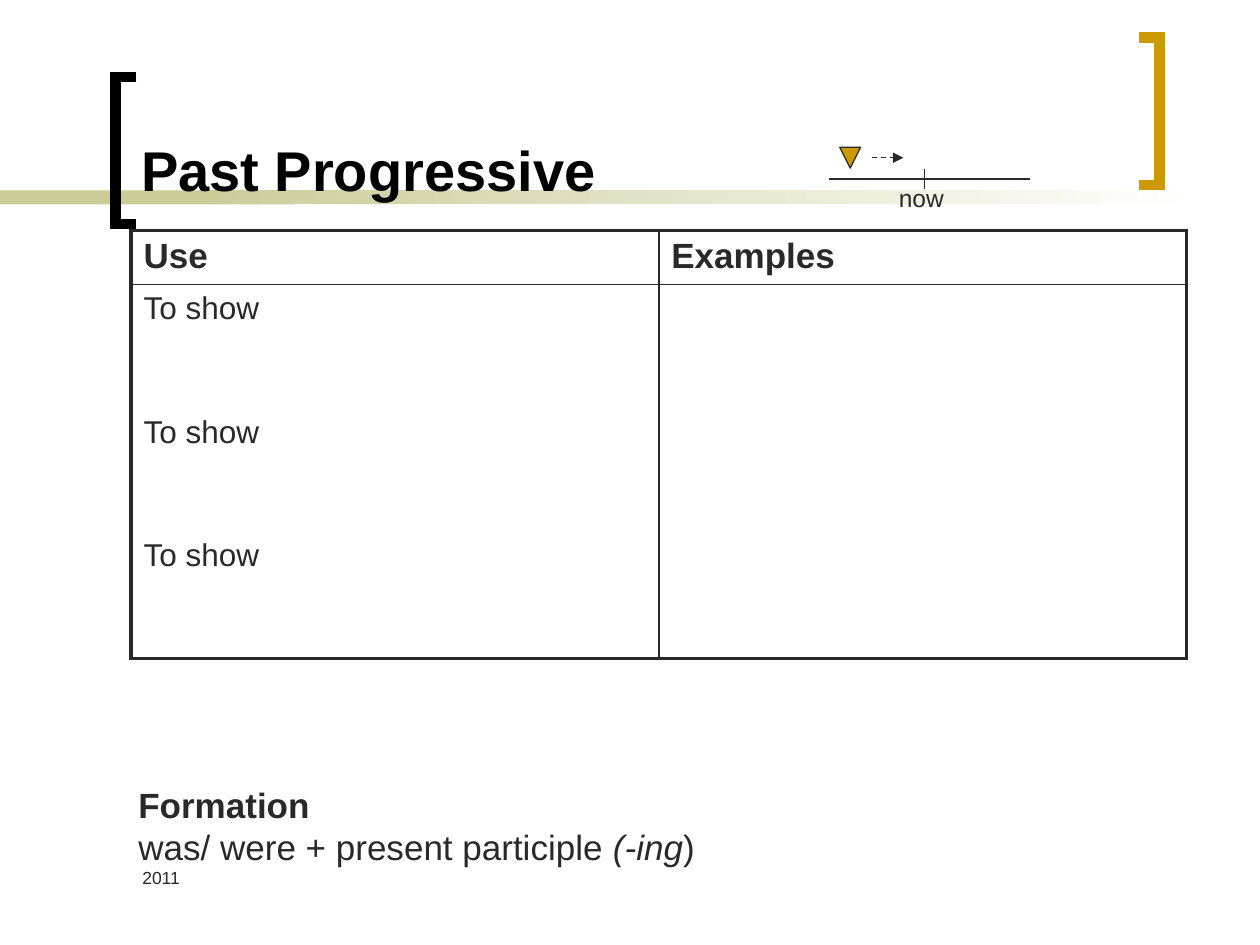
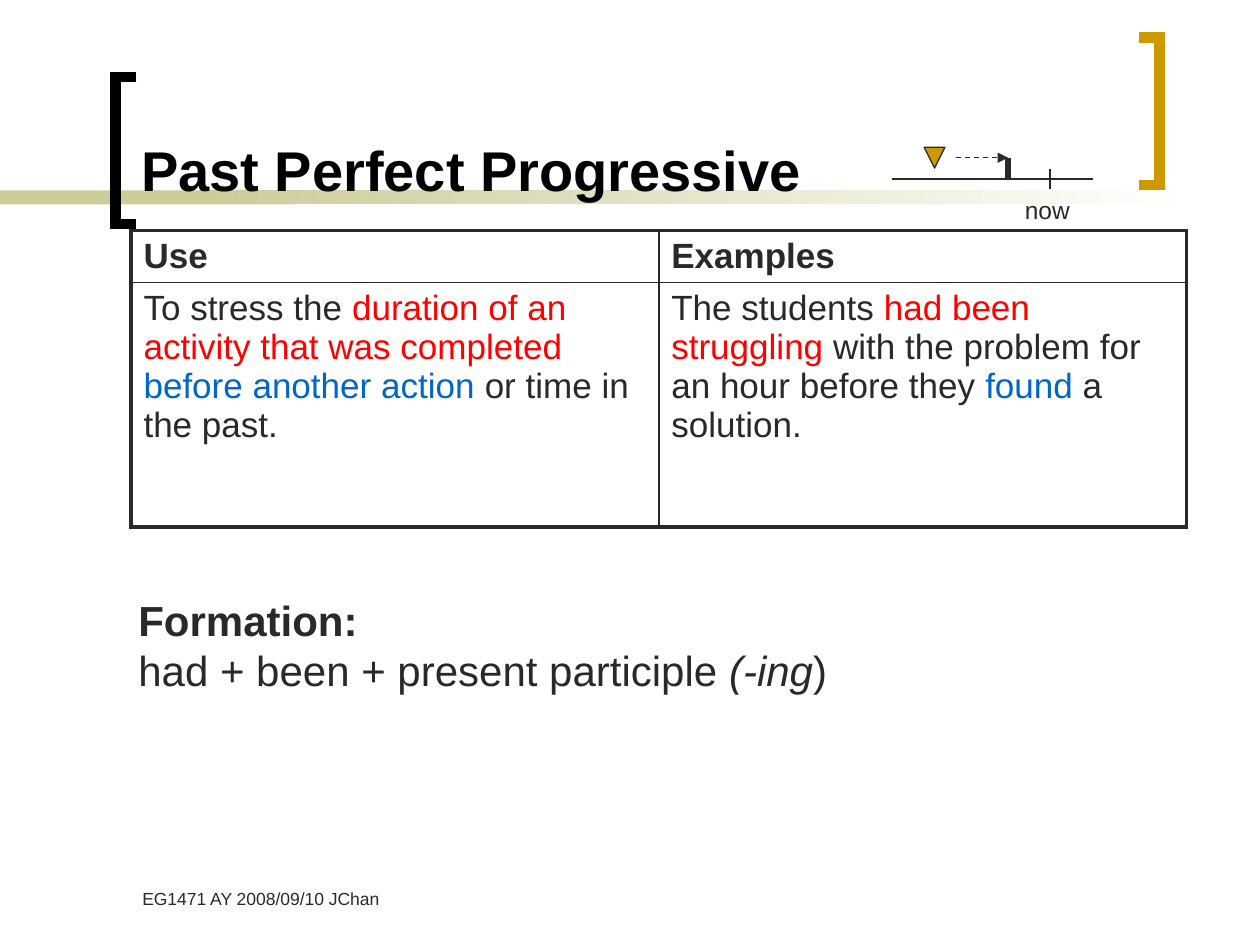
from lxml import etree
from pptx import Presentation
from pptx.dml.color import RGBColor
from pptx.enum.dml import MSO_LINE
from pptx.enum.shapes import MSO_CONNECTOR, MSO_SHAPE
from pptx.enum.text import MSO_ANCHOR, MSO_AUTO_SIZE, PP_ALIGN
from pptx.oxml.ns import qn
from pptx.util import Cm, Pt

RECT, TRIANGLE = MSO_SHAPE.RECTANGLE, MSO_SHAPE.FLOWCHART_MERGE
STRAIGHT, DASH = MSO_CONNECTOR.STRAIGHT, MSO_LINE.DASH
BOTTOM, LEFT = MSO_ANCHOR.BOTTOM, PP_ALIGN.LEFT
NO_FIT = MSO_AUTO_SIZE.NONE

FONT = "Arial"
COLORS = {
    "text": "292929", "title": "000000", "band": "CCCC99", "white": "FFFFFF",
    "gold": "CC9900", "red": "FF0000", "blue": "0066CC",
}
OUTER, INNER = 2.25, 1  # table border widths in points


def rgb(name):
    return RGBColor.from_string(COLORS[name])


def add_runs(p, runs, size):
    """Each run is (text, style); style holds colour names, 'bold' or 'italic'."""
    for text, style in runs:
        r = p.add_run()
        r.text = text
        words = style.split()
        r.font.name, r.font.size = FONT, Pt(size)
        r.font.bold, r.font.italic = "bold" in words, "italic" in words
        color = next((w for w in words if w in COLORS), "text")
        r.font.color.rgb = rgb(color)


def add_paragraphs(tf, paragraphs, size, gap=0):
    for i, runs in enumerate(paragraphs):
        p = tf.add_paragraph() if i else tf.paragraphs[0]
        p.alignment = LEFT
        p.space_before = Pt(gap if i else 0)
        add_runs(p, runs, size)


def add_text(s, box, paragraphs, size, wrap=True):
    tf = s.shapes.add_textbox(*map(Cm, box)).text_frame
    tf.word_wrap = wrap
    add_paragraphs(tf, paragraphs, size)


def add_line(s, x1, y1, x2, y2, width=0.75):
    line = s.shapes.add_connector(STRAIGHT, *map(Cm, (x1, y1, x2, y2)))
    line.line.color.rgb = rgb("text")
    line.line.width = Pt(width)
    etree.SubElement(line.element.spPr, qn("a:effectLst"))
    return line


# Backdrop shared by both slides
def add_band(s, left, width):
    sp = s.shapes.add_shape(RECT, Cm(left), Cm(3.84), Cm(width), Cm(0.28))
    sp.shadow.inherit = False
    sp.line.fill.background()
    return sp


def add_bracket(s, spine, tip, top, color):
    bottom = top + 2.97
    fb = s.shapes.build_freeform(Cm(tip), Cm(top))
    corners = [(spine, top), (spine, bottom), (tip, bottom)]
    fb.add_line_segments([(Cm(x), Cm(y)) for x, y in corners], close=False)
    sp = fb.convert_to_shape()
    sp.shadow.inherit = False
    sp.fill.background()
    sp.line.color.rgb = rgb(color)
    sp.line.width = Pt(6)
    ln = sp.element.spPr.find(qn("a:ln"))
    etree.SubElement(ln, qn("a:miter"), lim="800000")
    return sp


def move_backdrop_to_layout(s):
    solid = add_band(s, 0, 5.92)
    solid.fill.solid()
    solid.fill.fore_color.rgb = rgb("band")
    fading = add_band(s, 4.01, 20.12)
    fading.fill.gradient()
    fading.fill.gradient_angle = 0
    for stop, name in zip(fading.fill.gradient_stops, ("band", "white")):
        stop.color.rgb = rgb(name)
    brackets = [add_bracket(s, 2.33, 2.75, 1.55, "title"),
                add_bracket(s, 23.38, 22.96, 0.76, "gold")]
    for sp in [solid, fading] + brackets:
        s.slide_layout.shapes.element.append(sp.element)


def set_title(s, text):
    title = s.shapes.title
    title.left, title.top, title.width, title.height = map(Cm, (2.59, 0.28, 19.89, 3.94))
    tf = title.text_frame
    tf.auto_size, tf.vertical_anchor = NO_FIT, BOTTOM
    add_paragraphs(tf, [[(text, "title bold")]], 32)


# Table of uses and examples
def set_borders(cell, widths):
    tcPr = cell._tc.get_or_add_tcPr()
    for i, (side, width) in enumerate(zip("LRTB", widths)):
        ln = etree.Element(qn("a:ln" + side), w=str(Pt(width)))
        fill = etree.SubElement(ln, qn("a:solidFill"))
        etree.SubElement(fill, qn("a:srgbClr"), val=COLORS["text"])
        tcPr.insert(i, ln)


def add_use_table(s, left, top, heights, body, size, gap=0):
    col_width = 10.64
    shape = s.shapes.add_table(2, 2, Cm(left), Cm(top), Cm(2 * col_width), Cm(sum(heights)))
    table = shape.table
    table.first_row = table.horz_banding = False
    for i in range(2):
        table.columns[i].width = Cm(col_width)
        table.rows[i].height = Cm(heights[i])
    header = [[[("Use", "bold")]], [[("Examples", "bold")]]]
    for r, (row, row_size) in enumerate([(header, 20), (body, size)]):
        for c, paragraphs in enumerate(row):
            cell = table.cell(r, c)
            cell.fill.background()
            add_paragraphs(cell.text_frame, paragraphs, row_size, gap)
            set_borders(cell, [OUTER if edge else INNER
                               for edge in (c == 0, c == 1, r == 0, r == 1)])


# Timeline: offsets are measured from the left end of the axis
def add_timeline(s, left, axis_y, start, end, now, label_drop, stop_bar=False):
    add_line(s, left, axis_y, left + 4.04, axis_y)
    add_line(s, left + now, axis_y - 0.21, left + now, axis_y + 0.21)
    label = (left + now - 0.76, axis_y + label_drop, 1.42, 0.84)
    add_text(s, label, [[("now", "")]], 14, wrap=False)

    marker = s.shapes.add_shape(TRIANGLE, Cm(left + start), Cm(axis_y - 0.64), Cm(0.42), Cm(0.42))
    marker.shadow.inherit = False
    marker.fill.solid()
    marker.fill.fore_color.rgb = rgb("gold")
    marker.line.color.rgb = rgb("text")
    marker.line.width = Pt(0.75)

    arrow_y = axis_y - 0.43
    arrow = add_line(s, left + start + 0.64, arrow_y, left + end, arrow_y)
    arrow.line.dash_style = DASH
    ln = arrow.element.spPr.find(qn("a:ln"))
    etree.SubElement(ln, qn("a:tailEnd"), type="triangle")
    if stop_bar:
        add_line(s, left + end, arrow_y, left + end, axis_y, 3)


def add_formation(s, top, heading, formula, size):
    paragraphs = [[(heading, "bold")],
                  [(formula + " + present participle ", ""), ("(-ing", "italic"), (")", "")]]
    add_text(s, (2.54, top, 19.89, 2.1), paragraphs, size)


def add_footer(s, top, text):
    add_text(s, (2.62, top, 6.05, 0.85), [[(text, "")]], 10)


prs = Presentation()
prs.slide_width, prs.slide_height = Cm(25.4), Cm(19.05)
title_only = prs.slide_layouts[5]

# Past progressive
s = prs.slides.add_slide(title_only)
move_backdrop_to_layout(s)
set_title(s, "Past Progressive")
add_use_table(s, 2.64, 4.65, (1.09, 7.54), [[[("To show", "")]] * 3, []], 18, gap=50.4)
add_timeline(s, 16.72, 3.61, start=0.21, end=1.49, now=1.91, label_drop=-0.05)
add_formation(s, 15.67, "Formation", "was/ were", 20)
add_footer(s, 17.35, "2011")

# Past perfect progressive
s = prs.slides.add_slide(title_only)
set_title(s, "Past Perfect Progressive")
use = [("To stress the ", ""),
       ("duration of an activity that was completed ", "red"),
       ("before another action ", "blue"),
       ("or time in the past.", "")]
example = [("The students ", ""),
           ("had been struggling ", "red"),
           ("with the problem for an hour before they ", ""),
           ("found", "blue"),
           (" a solution.", "")]
add_use_table(s, 2.64, 4.65, (1.04, 4.93), [[use], [example]], 20)
add_timeline(s, 17.99, 3.61, start=0.64, end=2.33, now=3.18, label_drop=0.2, stop_bar=True)
add_formation(s, 11.86, "Formation:", "had + been", 24)
add_footer(s, 17.77, "EG1471 AY 2008/09/10 JChan")

prs.save("out.pptx")
